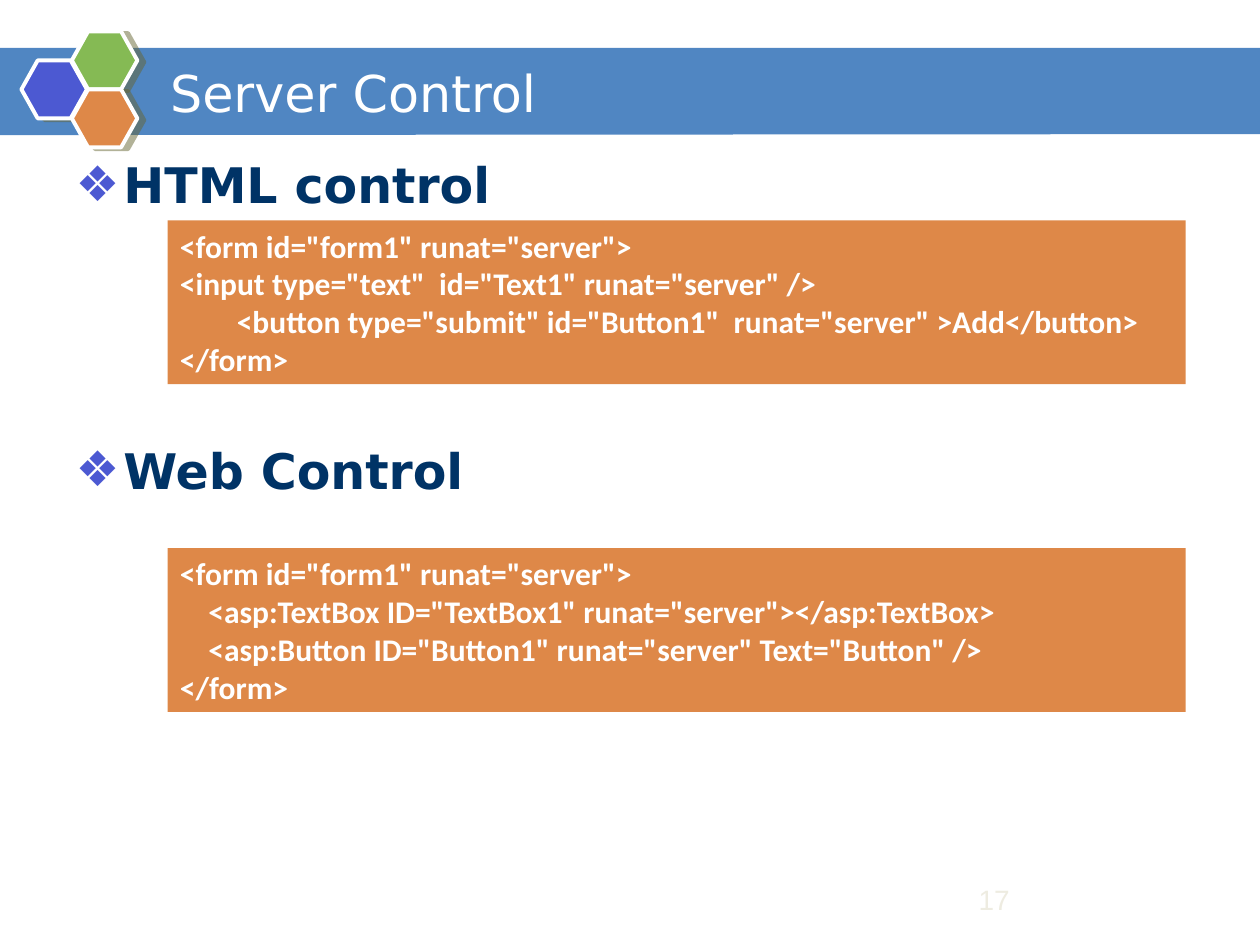
"""Build the Server Control slide with its two code samples."""
from dataclasses import dataclass

import lxml.etree
import pptx
import pptx.dml.color
import pptx.enum.shapes
import pptx.enum.text
import pptx.oxml.ns
import pptx.util

qn = pptx.oxml.ns.qn
MSO = pptx.enum.shapes.MSO_SHAPE
ANCHOR = pptx.enum.text.MSO_ANCHOR
ALIGN = pptx.enum.text.PP_ALIGN
WIDTH, HEIGHT = pptx.util.Inches(10), pptx.util.Inches(7.5)


@dataclass(frozen=True)
class Theme:
    band: str = "5086C2"
    blue: str = "4C59D2"
    green: str = "85BA54"
    orange: str = "DE8848"
    navy: str = "003366"
    white: str = "FFFFFF"
    pale: str = "EEECE1"
    shadow: str = "666633"
    heading_font: str = "DejaVu Sans"
    code_font: str = "Calibri"
    number_font: str = "Arial"
    title_size: int = 29
    topic_size: int = 28
    code_size: int = 18
    number_size: int = 16


@dataclass(frozen=True)
class Box:
    """Position and size as percentages of the slide."""
    left: float
    top: float
    width: float
    height: float

    def emu(self) -> tuple[int, int, int, int]:
        return (int(WIDTH * self.left / 100), int(HEIGHT * self.top / 100),
                int(WIDTH * self.width / 100), int(HEIGHT * self.height / 100))


@dataclass(frozen=True)
class Hexagon:
    column: int
    row: int
    color: str


@dataclass(frozen=True)
class Code:
    top: float
    lines: tuple[str, ...]


T = Theme()
HEXAGONS = (Hexagon(0, 1, T.blue), Hexagon(1, 0, T.green), Hexagon(1, 2, T.orange))
TOPICS = (("HTML control", 0), ("Web Control", 129.5))
CODES = (
    Code(23.33, (
        '<form id="form1" runat="server">',
        '<input type="text"  id="Text1" runat="server" />',
        '        <button type="submit" id="Button1"  runat="server" >Add</button>',
        '</form>')),
    Code(58, (
        '<form id="form1" runat="server">',
        '    <asp:TextBox ID="TextBox1" runat="server"></asp:TextBox>',
        '    <asp:Button ID="Button1" runat="server" Text="Button" />',
        '</form>')),
)


def rgb(color: str) -> pptx.dml.color.RGBColor:
    return pptx.dml.color.RGBColor.from_string(color)


def paint(sp, color: str) -> None:
    sp.shadow.inherit = False
    sp.fill.solid()
    sp.fill.fore_color.rgb = rgb(color)
    sp.line.fill.background()


def place(sp, box: Box) -> None:
    sp.left, sp.top, sp.width, sp.height = box.emu()


def write(p, text: str, *, font: str, size: float, color: str, bold: bool = False,
          align=ALIGN.LEFT, before: float = 0) -> None:
    p.alignment = align
    p.space_before = pptx.util.Pt(before)
    r = p.add_run()
    r.text = text
    r.font.name, r.font.size, r.font.bold = font, pptx.util.Pt(size), bold
    r.font.color.rgb = rgb(color)


def prepare(tf, anchor=ANCHOR.TOP) -> None:
    tf.word_wrap = True
    tf.auto_size = pptx.enum.text.MSO_AUTO_SIZE.NONE
    tf.vertical_anchor = anchor


def add_bullet(p, char: str, color: str) -> None:
    pPr = p._p.get_or_add_pPr()
    indent = pptx.util.Inches(0.38)
    pPr.set("marL", str(indent))
    pPr.set("indent", str(-indent))
    clr = lxml.etree.SubElement(pPr, qn("a:buClr"))
    lxml.etree.SubElement(clr, qn("a:srgbClr"), val=color)
    lxml.etree.SubElement(pPr, qn("a:buFont"), typeface=T.heading_font)
    lxml.etree.SubElement(pPr, qn("a:buChar"), char=char)


def add_band(s) -> None:
    corners = [(0, 5.07), (100, 5.07), (100, 14.2), (0, 14.3)]
    points = [(int(WIDTH * x / 100), int(HEIGHT * y / 100)) for x, y in corners]
    builder = s.shapes.build_freeform(*points[0])
    builder.add_line_segments(points[1:], close=True)
    paint(builder.convert_to_shape(), T.band)


def add_hexagon(s, item: Hexagon) -> None:
    box = Box(1.7 + 4 * item.column, 3.33 + 3.07 * item.row, 5.2, 6.13)
    sp = s.shapes.add_shape(MSO.HEXAGON, *box.emu())
    sp.adjustments[0] = 0.28
    paint(sp, item.color)
    sp.line.color.rgb = rgb(T.white)
    sp.line.width = pptx.util.Pt(2.25)
    effects = sp._element.spPr.find(qn("a:effectLst"))
    shadow = lxml.etree.SubElement(effects, qn("a:outerShdw"), blurRad="0",
                                   dist=str(pptx.util.Pt(4.1)), dir=str(14 * 60000),
                                   algn="ctr", rotWithShape="0")
    clr = lxml.etree.SubElement(shadow, qn("a:srgbClr"), val=T.shadow)
    lxml.etree.SubElement(clr, qn("a:alpha"), val="50000")


def add_code(s, code: Code) -> None:
    sp = s.shapes.add_shape(MSO.RECTANGLE, *Box(13.3, code.top, 80.8, 17.33).emu())
    paint(sp, T.orange)
    tf = sp.text_frame
    prepare(tf)
    for i, line in enumerate(code.lines):
        p = tf.add_paragraph() if i else tf.paragraphs[0]
        write(p, line, font=T.code_font, size=T.code_size, color=T.white, bold=True)


def fill_title(sp) -> None:
    place(sp, Box(12.5, 5.6, 73.3, 8.27))
    prepare(sp.text_frame, ANCHOR.MIDDLE)
    write(sp.text_frame.paragraphs[0], "Server Control", font=T.heading_font,
          size=T.title_size, color=T.white)


def fill_topics(sp) -> None:
    place(sp, Box(5, 15.73, 90, 76.53))
    tf = sp.text_frame
    prepare(tf)
    for i, (text, gap) in enumerate(TOPICS):
        p = tf.add_paragraph() if i else tf.paragraphs[0]
        add_bullet(p, "❖", T.blue)
        write(p, text, font=T.heading_font, size=T.topic_size, color=T.navy,
              bold=True, before=gap)


def add_number(s) -> None:
    sp = s.shapes.add_textbox(*Box(71.2, 92.5, 15.4, 5.33).emu())
    prepare(sp.text_frame, ANCHOR.MIDDLE)
    write(sp.text_frame.paragraphs[0], "17", font=T.number_font, size=T.number_size,
          color=T.pale, align=ALIGN.CENTER)


def main() -> None:
    prs = pptx.Presentation()
    prs.slide_width, prs.slide_height = WIDTH, HEIGHT
    s = prs.slides.add_slide(prs.slide_layouts[1])
    title, body = s.shapes.title, s.placeholders[1]
    add_band(s)
    for item in HEXAGONS:
        add_hexagon(s, item)
    for sp, fill in ((title, fill_title), (body, fill_topics)):
        s.shapes._spTree.append(sp._element)
        fill(sp)
    for code in CODES:
        add_code(s, code)
    add_number(s)
    prs.save("out.pptx")


if __name__ == "__main__":
    main()
